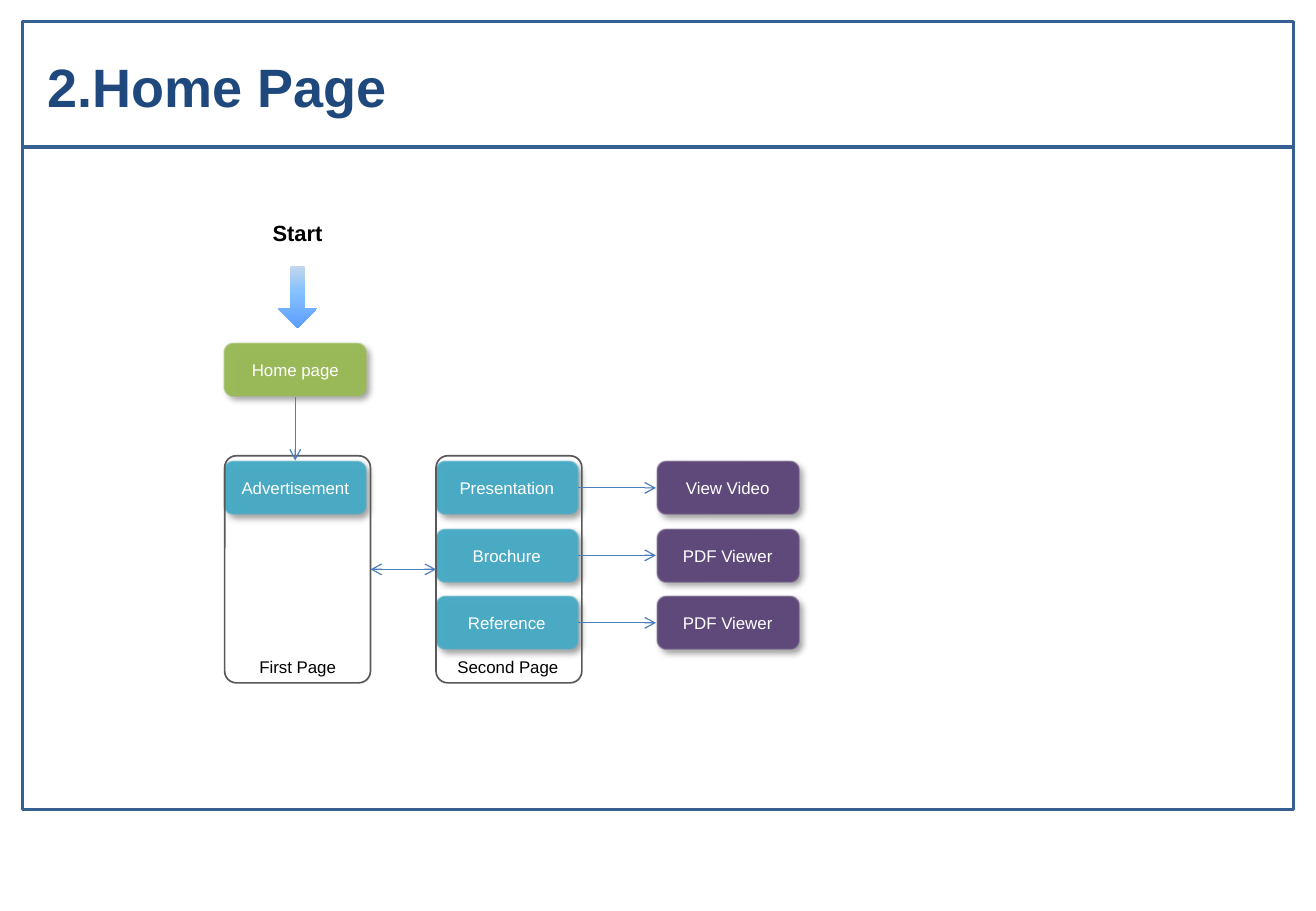
import pptx
import pptx.util
import pptx.dml.color
import pptx.enum.shapes
import pptx.enum.text
import pptx.oxml
import pptx.oxml.ns

Pt = pptx.util.Pt
RGBColor = pptx.dml.color.RGBColor
MSO_SHAPE = pptx.enum.shapes.MSO_SHAPE
PP_ALIGN = pptx.enum.text.PP_ALIGN
MSO_ANCHOR = pptx.enum.text.MSO_ANCHOR

WHITE = RGBColor(0xFF, 0xFF, 0xFF)
BLACK = RGBColor(0, 0, 0)
BORDER_BLUE = RGBColor(0x37, 0x60, 0x92)
TITLE_BLUE = RGBColor(0x1F, 0x49, 0x7D)
ARROW_BLUE = RGBColor(0x4B, 0x7E, 0xBC)
FRAME_GREY = RGBColor(0x59, 0x59, 0x59)
GREEN = RGBColor(0x9B, 0xBB, 0x59)
TEAL = RGBColor(0x4B, 0xAC, 0xC6)
PURPLE = RGBColor(0x60, 0x4A, 0x7B)
START_GRADIENT = [
    (0, RGBColor(0xC4, 0xD6, 0xEB)),
    (40, RGBColor(0x85, 0xC2, 0xFF)),
    (100, RGBColor(0x5E, 0x9E, 0xFF)),
]

TITLE_FONT = {"name": "Arial", "size": Pt(32), "bold": True}
START_FONT = {"name": "Arial", "size": Pt(13), "bold": True}
LABEL_FONT = {"name": "Arial", "size": Pt(10), "bold": False}

NS = pptx.oxml.ns.nsdecls("a")
BOX_EFFECTS = [
    f'<a:outerShdw {NS} blurRad="50800" dist="38100" dir="2700000" algn="tl" rotWithShape="0">'
    '<a:srgbClr val="000000"><a:alpha val="40000"/></a:srgbClr></a:outerShdw>',
    f'<a:softEdge {NS} rad="12700"/>',
]


def write(shape, text, font_values, color, align=PP_ALIGN.CENTER):
    paragraph = shape.text_frame.paragraphs[0]
    paragraph.alignment = align
    run = paragraph.add_run()
    run.text = text
    for attribute, value in font_values.items():
        setattr(run.font, attribute, value)
    run.font.color.rgb = color


def connect(x1, y1, x2, y2, color, width, ends=()):
    connector = slide.shapes.add_connector(
        pptx.enum.shapes.MSO_CONNECTOR.STRAIGHT, Pt(x1), Pt(y1), Pt(x2), Pt(y2))
    connector.line.color.rgb = color
    connector.line.width = Pt(width)
    for end in ends:
        connector.line._get_or_add_ln().append(
            pptx.oxml.parse_xml(f'<a:{end} {NS} type="arrow"/>'))
    connector._element.spPr.append(pptx.oxml.parse_xml(f"<a:effectLst {NS}/>"))


presentation = pptx.Presentation()
presentation.slide_width = Pt(780)
presentation.slide_height = Pt(540)
slide = presentation.slides.add_slide(presentation.slide_layouts[6])

# Page border, title rule and title
border = slide.shapes.add_shape(MSO_SHAPE.RECTANGLE, Pt(13.5), Pt(12.8), Pt(753.3), Pt(467.2))
border.shadow.inherit = False
border.fill.solid()
border.fill.fore_color.rgb = WHITE
border.line.color.rgb = BORDER_BLUE
border.line.width = Pt(2)
connect(13.5, 87.1, 766.8, 87.1, BORDER_BLUE, 2.25)
title = slide.shapes.add_textbox(Pt(20.9), Pt(28.1), Pt(713), Pt(46))
title.text_frame.word_wrap = True
write(title, "2.Home Page", TITLE_FONT, TITLE_BLUE, PP_ALIGN.LEFT)

# Start arrow
start_arrow = slide.shapes.add_shape(MSO_SHAPE.DOWN_ARROW, Pt(164.9), Pt(157.7), Pt(23), Pt(36.7))
start_arrow.shadow.inherit = False
start_arrow.adjustments[0] = 0.37
start_arrow.line.fill.background()
start_arrow.fill.gradient()
start_arrow.fill.gradient_angle = 270
stops = start_arrow._element.spPr.find(".//" + pptx.oxml.ns.qn("a:gsLst"))
for stop in list(stops):
    stops.remove(stop)
for position, color in START_GRADIENT:
    stops.append(pptx.oxml.parse_xml(
        f'<a:gs {NS} pos="{position * 1000}"><a:srgbClr val="{color}"/></a:gs>'))

# Flow boxes on a grid of columns and rows
COLUMNS = [132.5, 257.8, 388.8]
ROWS = [273 + 40 * row for row in range(3)]
HOME_TOP = 203
BOX_WIDTH, BOX_HEIGHT = 85, 32.4
flow_boxes = [
    ("Home page", COLUMNS[0], HOME_TOP, GREEN),
    ("Advertisement", COLUMNS[0], ROWS[0], TEAL),
    ("Presentation", COLUMNS[1], ROWS[0], TEAL),
    ("Brochure", COLUMNS[1], ROWS[1], TEAL),
    ("Reference", COLUMNS[1], ROWS[2], TEAL),
    ("View Video", COLUMNS[2], ROWS[0], PURPLE),
    ("PDF Viewer", COLUMNS[2], ROWS[1], PURPLE),
    ("PDF Viewer", COLUMNS[2], ROWS[2], PURPLE),
]
for text, left, top, color in flow_boxes:
    box = slide.shapes.add_shape(
        MSO_SHAPE.ROUNDED_RECTANGLE, Pt(left), Pt(top), Pt(BOX_WIDTH), Pt(BOX_HEIGHT))
    box.fill.solid()
    box.fill.fore_color.rgb = color
    box.line.color.rgb = WHITE
    box.line.width = Pt(0.75)
    box.shadow.inherit = False
    effects = box._element.spPr.find(pptx.oxml.ns.qn("a:effectLst"))
    for effect in BOX_EFFECTS:
        effects.append(pptx.oxml.parse_xml(effect))
    box.text_frame.margin_left = box.text_frame.margin_right = 0
    box.text_frame.vertical_anchor = MSO_ANCHOR.MIDDLE
    write(box, text, LABEL_FONT, WHITE)

# Page frames
FRAME_LEFTS = [133.2, 258.5]
FRAME_WIDTH = 86.4
for left in FRAME_LEFTS:
    frame = slide.shapes.add_shape(
        MSO_SHAPE.ROUNDED_RECTANGLE, Pt(left), Pt(270.2), Pt(FRAME_WIDTH), Pt(134.6))
    frame.shadow.inherit = False
    frame.adjustments[0] = 0.08
    frame.fill.background()
    frame.line.color.rgb = FRAME_GREY
    frame.line.width = Pt(1)

# Start and page labels
labels = [
    ("Start", 149, 126.7, 54.7, 23, START_FONT),
    ("First Page", 145.4, 386, 62, 19.4, LABEL_FONT),
    ("Second Page", 263.5, 386, 75, 19.4, LABEL_FONT),
]
for text, left, top, width, height, font_values in labels:
    label = slide.shapes.add_textbox(Pt(left), Pt(top), Pt(width), Pt(height))
    label.text_frame.word_wrap = False
    write(label, text, font_values, BLACK)

# Arrows between boxes and pages
home_center = COLUMNS[0] + BOX_WIDTH / 2
connect(home_center, HOME_TOP + BOX_HEIGHT, home_center, ROWS[0], ARROW_BLUE, 0.75, ["tailEnd"])
connect(FRAME_LEFTS[0] + FRAME_WIDTH, 337.5, FRAME_LEFTS[1], 337.5,
        ARROW_BLUE, 0.75, ["headEnd", "tailEnd"])
for top in ROWS:
    middle = top + BOX_HEIGHT / 2
    connect(COLUMNS[1] + BOX_WIDTH, middle, COLUMNS[2], middle, ARROW_BLUE, 0.75, ["tailEnd"])

presentation.save("out.pptx")
